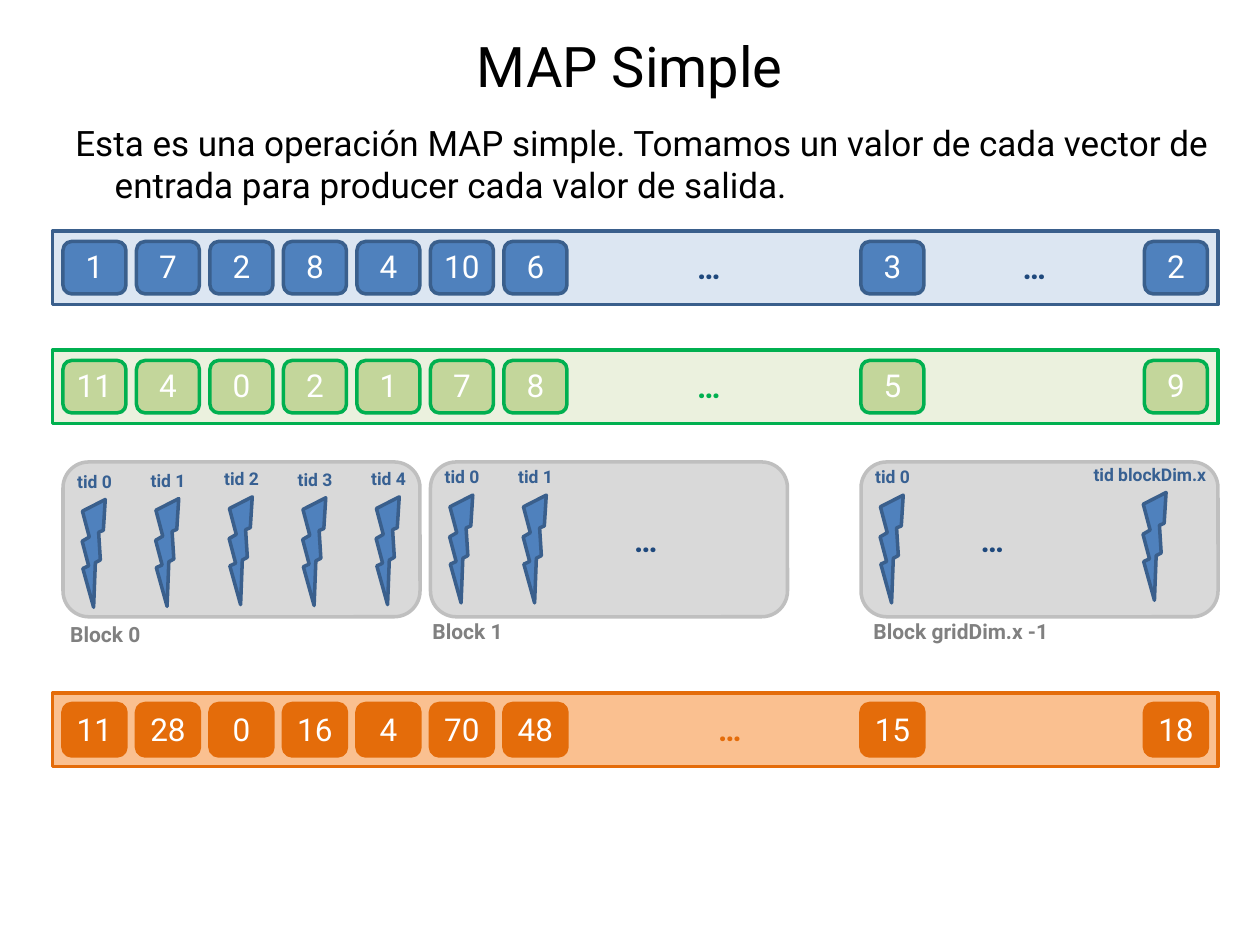
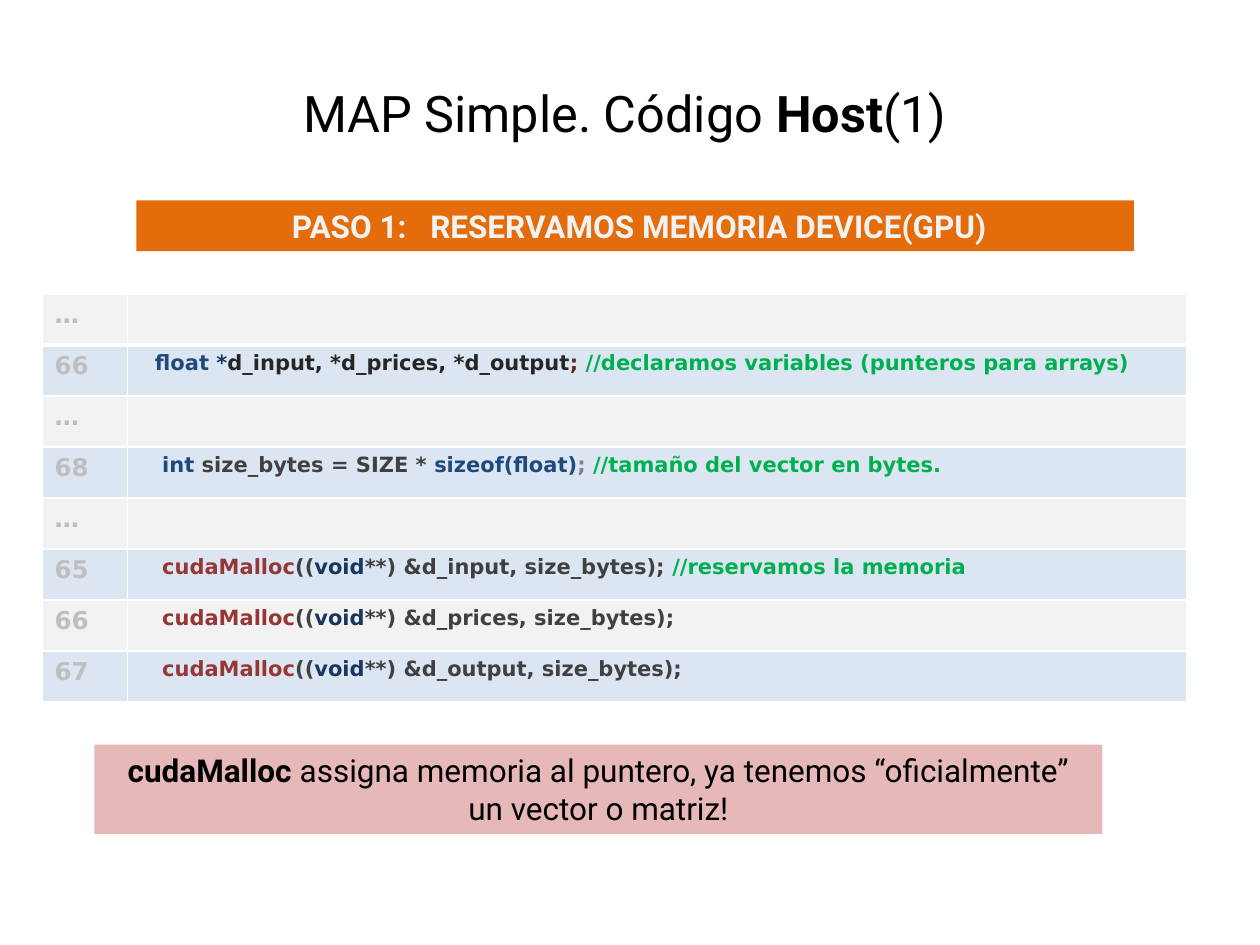
from lxml.etree import SubElement
from pptx import Presentation
from pptx.dml.color import RGBColor
from pptx.enum.shapes import MSO_SHAPE
from pptx.enum.text import MSO_ANCHOR, PP_ALIGN
from pptx.oxml.ns import qn
from pptx.util import Pt

COLOURS = {
    "white": "FFFFFF", "black": "000000", "pale": "F2F2F2",
    "block": "D9D9D9", "block_edge": "BFBFBF", "block_label": "808080",
    "blue": "4F81BD", "blue_edge": "3A5F8C", "blue_pale": "DCE6F2",
    "blue_label": "376092", "navy": "1F497D", "deep_navy": "17375E",
    "green": "00B050", "green_soft": "C3D69B", "green_pale": "EBF1DE",
    "orange": "E46C0A", "orange_pale": "FAC090", "pink": "E6B9B8",
    "red": "953735", "dark_red": "632523", "code": "404040", "ink": "262626",
}
BODY = {"name": "Roboto", "size": Pt(18), "bold": False}
BOLD = {**BODY, "bold": True}
TID = {**BOLD, "size": Pt(10)}
BLOCK_LABEL = {**BOLD, "size": Pt(12)}
CODE = {"name": "DejaVu Sans", "size": Pt(12), "bold": True}
LINE_NUMBER = {**CODE, "size": Pt(14)}

CELL_STEP = 42
CELL_LEFTS = [36 + CELL_STEP * index for index in range(7)] + [492, 654]
VECTORS = [
    (132, "blue_pale", "blue_edge", "blue", [1, 7, 2, 8, 4, 10, 6, 3, 2]),
    (200, "green_pale", "green", "green_soft", [11, 4, 0, 2, 1, 7, 8, 5, 9]),
    (396, "orange_pale", "orange", "orange", [11, 28, 0, 16, 4, 70, 48, 15, 18]),
]
ELLIPSES = [
    (354, 138, "navy"), (540, 138, "navy"), (354, 206, "green"),
    (366, 402, "orange"), (516, 294, "navy"), (318, 294, "navy"),
]
BLOCKS = [
    (36, "Block 0", 33, 351.5),
    (246, "Block 1", 240, 350),
    (492, "Block gridDim.x -1", 492, 350),
]
THREADS = [
    ("tid 0", 54, 265.5), ("tid 1", 96, 265), ("tid 2", 138, 264),
    ("tid 3", 180, 264.5), ("tid 4", 222, 264), ("tid 0", 264, 263),
    ("tid 1", 306, 263), ("tid 0", 510, 263),
]


def malloc_line(pointer, comment=""):
    """Return the coloured spans of one cudaMalloc call."""
    return [("   cudaMalloc", "red"), ("((", "code"), ("void", "deep_navy"),
            (f"**) &{pointer}, size_bytes);", "code"), (comment, "green")]


LISTING = [
    ("…", []),
    ("66", [("  float", "navy"), (" *", "deep_navy"),
            ("d_input, *d_prices, *d_output", "ink"), ("; ", "dark_red"),
            ("//declaramos variables (punteros para arrays)", "green")]),
    ("…", []),
    ("68", [("   int ", "navy"), ("size_bytes = SIZE * ", "code"),
            ("sizeof(float)", "navy"), ("; ", "block_label"),
            ("//tamaño del vector en bytes.", "green")]),
    ("…", []),
    ("65", malloc_line("d_input", " //reservamos la memoria")),
    ("66", malloc_line("d_prices")),
    ("67", malloc_line("d_output")),
]


def rgb(colour):
    """Return the named colour as an RGBColor."""
    return RGBColor.from_string(COLOURS[colour])


def set_attributes(target, values):
    """Set every attribute in the dict on the target."""
    for name, value in values.items():
        setattr(target, name, value)


def add_span(para, text, colour, style):
    """Append one formatted run to a paragraph."""
    span = para.add_run()
    span.text = text
    set_attributes(span.font, style)
    span.font.color.rgb = rgb(colour)
    return span


def add_text(page, frame, text, colour, style=BODY, align=PP_ALIGN.CENTER,
             anchor=MSO_ANCHOR.TOP):
    """Add a wrapping text box and return its paragraph."""
    box = page.shapes.add_textbox(*map(Pt, frame))
    set_attributes(box.text_frame, {"word_wrap": True, "vertical_anchor": anchor})
    para = box.text_frame.paragraphs[0]
    para.alignment = align
    add_span(para, text, colour, style)
    return para


def add_title(page, frame, text, size):
    """Add a centred slide title and return its paragraph."""
    return add_text(page, frame, text, "black", {**BODY, "size": Pt(size)},
                    anchor=MSO_ANCHOR.MIDDLE)


def add_box(page, kind, frame, fill, edge=None):
    """Add a filled preset shape with an optional outline."""
    box = page.shapes.add_shape(kind, *map(Pt, frame))
    box.shadow.inherit = False
    box.fill.solid()
    box.fill.fore_color.rgb = rgb(fill)
    if edge:
        box.line.color.rgb = rgb(edge)
        box.line.width = Pt(2)
    else:
        box.line.fill.background()
    return box


def centre_text(box, insets):
    """Prepare the text frame of a shape and return its centred paragraph."""
    set_attributes(box.text_frame, {
        "word_wrap": True, "vertical_anchor": MSO_ANCHOR.TOP, **insets})
    para = box.text_frame.paragraphs[0]
    para.alignment = PP_ALIGN.CENTER
    return para


def add_vector(page, top, band, edge, fill, values):
    """Draw a vector band with its value cells."""
    add_box(page, MSO_SHAPE.RECTANGLE, (30, top, 666, 42), band, edge)
    for left, value in zip(CELL_LEFTS, values):
        cell = add_box(page, MSO_SHAPE.ROUNDED_RECTANGLE,
                       (left, top + 6, 36, 30), fill, edge)
        para = centre_text(cell, {"margin_left": 0, "margin_right": 0,
                                  "margin_top": Pt(2), "margin_bottom": 0})
        add_span(para, str(value), "white", BODY)


def add_block(page, left, label, label_left, label_top):
    """Draw a thread block with the label below it."""
    add_box(page, MSO_SHAPE.ROUNDED_RECTANGLE, (left, 264, 204, 88.5),
            "block", "block_edge")
    add_text(page, (label_left, label_top, 132, 21.5), label, "block_label",
             BLOCK_LABEL, PP_ALIGN.LEFT)


def add_thread(page, label, centre, top, width=60, bolt_shift=-1.8):
    """Draw a thread bolt under its identifier."""
    add_text(page, (centre - width / 2, top, width, 19.5), label, "blue_label", TID)
    bolt = add_box(page, MSO_SHAPE.LIGHTNING_BOLT,
                   (centre + bolt_shift - 12.6, top + 19, 25.2, 60),
                   "blue", "blue_edge")
    bolt.rotation = 20.5


def set_borders(cell, widths):
    """Give a table cell white borders of the given widths."""
    properties = cell._tc.get_or_add_tcPr()
    for index, (side, width) in enumerate(widths.items()):
        line = SubElement(properties, qn(f"a:ln{side}"), w=str(Pt(width)))
        fill = SubElement(line, qn("a:solidFill"))
        SubElement(fill, qn("a:srgbClr"), val=COLOURS["white"])
        properties.insert(index, line)


def add_listing(page):
    """Draw the numbered code listing as a table."""
    row_height = 29.16
    table = page.shapes.add_table(
        len(LISTING), 2, Pt(24), Pt(168), Pt(654), Pt(row_height * len(LISTING))).table
    set_attributes(table, {"first_row": False, "horz_banding": False})
    for column, width in zip(table.columns, (49, 605)):
        column.width = Pt(width)
    for index, (number, code) in enumerate(LISTING):
        table.rows[index].height = Pt(row_height)
        for cell, spans in zip(table.rows[index].cells,
                               ([(number, "block_edge")], code)):
            cell.fill.solid()
            cell.fill.fore_color.rgb = rgb("blue_pale" if index % 2 else "pale")
            set_borders(cell, {"L": 1, "R": 1, "T": 3 if index == 1 else 1,
                               "B": 3 if index == 0 else 1})
            para = cell.text_frame.paragraphs[0]
            set_attributes(para.font, CODE)
            style = CODE if spans is code else LINE_NUMBER
            for text, colour in filter(lambda span: span[0], spans):
                add_span(para, text, colour, style)


def build_diagram(page):
    """Build the slide that shows the map operation."""
    for block in BLOCKS:
        add_block(page, *block)
    add_title(page, (36, 12, 648, 50), "MAP Simple", 32)
    intro = add_text(
        page, (0, 66, 720, 66),
        "Esta es una operación MAP simple. Tomamos un valor de cada vector de "
        "entrada para producer cada valor de salida.",
        "black", {**BODY, "size": Pt(20)}, PP_ALIGN.LEFT)
    properties = intro._p.get_or_add_pPr()
    properties.set("marL", str(Pt(58.5)))
    properties.set("indent", str(Pt(-22.5)))
    for vector in VECTORS:
        add_vector(page, *vector)
    for thread in THREADS:
        add_thread(page, *thread)
    add_thread(page, "tid blockDim.x", 657, 261.5, width=90, bolt_shift=1.4)
    for left, top, colour in ELLIPSES:
        add_text(page, (left, top, 102, 30), "…", colour, BOLD)


def build_host_code(page):
    """Build the slide with the host code listing."""
    title = add_title(page, (33, 48, 648, 32.5), "MAP Simple. Código ", 28.8)
    for text, bold in (("Host", True), ("(1)", False)):
        add_span(title, text, "black", {**BODY, "size": Pt(28.8), "bold": bold})
    add_listing(page)
    step = add_box(page, MSO_SHAPE.RECTANGLE, (78, 114.5, 570, 29), "orange")
    para = centre_text(step, {"margin_left": Pt(11.7)})
    add_span(para, "PASO 1:", "pale", BOLD)
    gap = add_span(para, " ", "pale", BOLD)
    gap.font._element.set("spc", "900")
    add_span(para, "RESERVAMOS MEMORIA DEVICE(GPU)", "pale", BOLD)
    note = add_box(page, MSO_SHAPE.RECTANGLE, (54, 425.5, 576, 51), "pink")
    para = centre_text(note, {})
    add_span(para, "cudaMalloc ", "black", BOLD)
    add_span(para, "assigna memoria al puntero, ya tenemos “oficialmente” "
                   "un vector o matriz!", "black", BODY)


def main():
    """Build and save the deck."""
    deck = Presentation()
    set_attributes(deck, {"slide_width": Pt(720), "slide_height": Pt(540)})
    for build in (build_diagram, build_host_code):
        build(deck.slides.add_slide(deck.slide_layouts[6]))
    deck.save("out.pptx")


if __name__ == "__main__":
    main()
